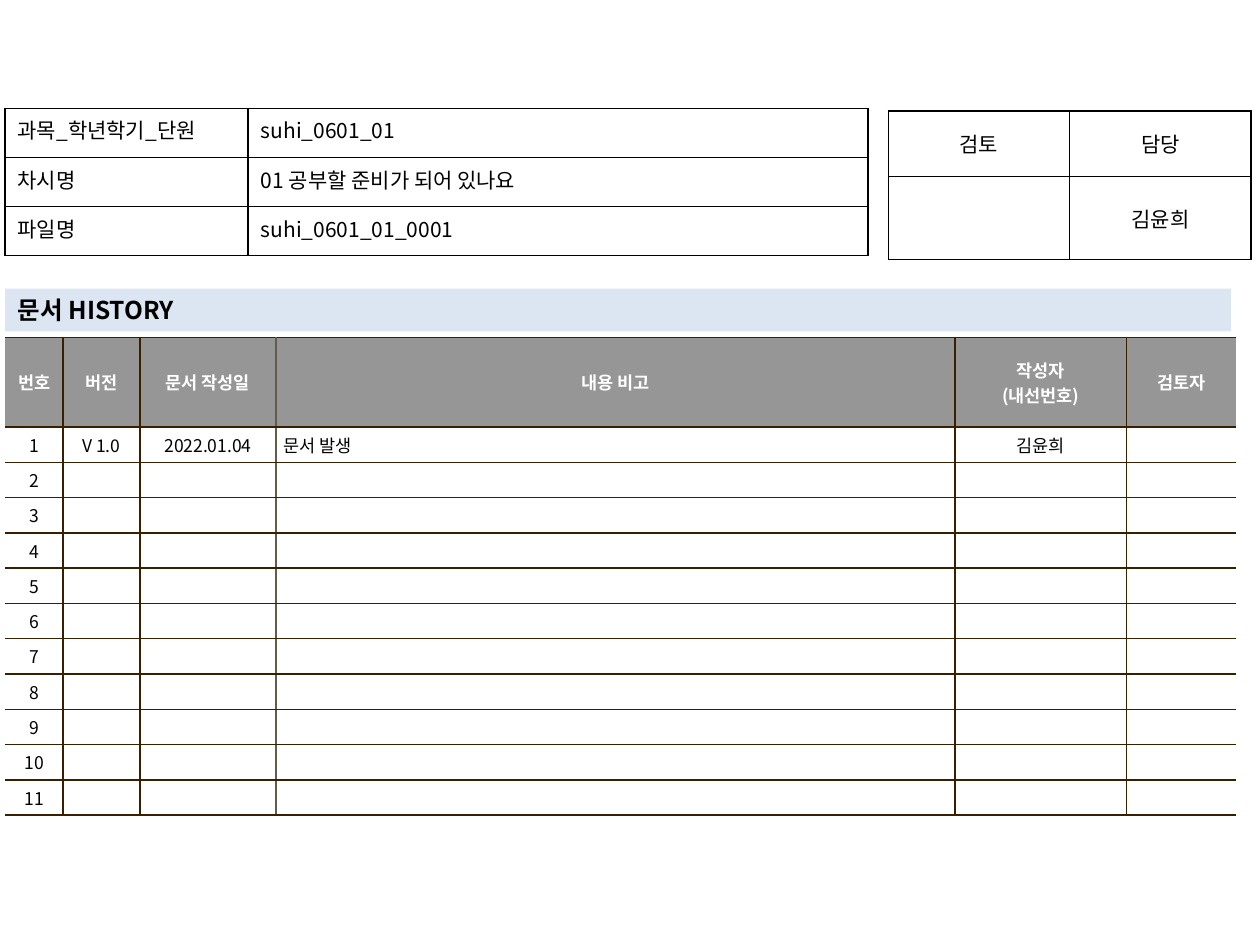
from lxml import etree
from pptx import Presentation
from pptx.dml.color import RGBColor
from pptx.enum.text import MSO_ANCHOR, MSO_AUTO_SIZE, PP_ALIGN
from pptx.oxml.ns import qn
from pptx.util import Inches, Pt

FONT = "Noto Sans CJK KR"
BLACK, WHITE, GRAY, BLUE = "000000", "FFFFFF", "969696", "DCE6F2"
BROWN, TAUPE = "362000", "645B4C"
LEFT, MID, FULL = PP_ALIGN.LEFT, PP_ALIGN.CENTER, PP_ALIGN.JUSTIFY
TOP, CENTER = MSO_ANCHOR.TOP, MSO_ANCHOR.MIDDLE
NO_FIT = MSO_AUTO_SIZE.NONE
TITLE_ONLY = 5


def paint(fill, color):
    fill.solid()
    fill.fore_color.rgb = RGBColor.from_string(color)


def write(frame, text, size, color=BLACK, bold=False, align=LEFT):
    """Fill a text frame, one paragraph per line of text."""
    for i, line in enumerate(text.split("\n")):
        para = frame.paragraphs[0] if i == 0 else frame.add_paragraph()
        para.alignment = align
        if not line:
            # An empty cell keeps the row height of its text size
            end = etree.SubElement(para._p, qn("a:endParaRPr"))
            end.set("sz", str(size * 100))
            continue
        run = para.add_run()
        run.text = line
        font = run.font
        font.name, font.size, font.bold = FONT, Pt(size), bold
        font.color.rgb = RGBColor.from_string(color)
        east = etree.SubElement(run._r.get_or_add_rPr(), qn("a:ea"))
        east.set("typeface", FONT)


def border(cell, colors):
    """Draw left, right, top and bottom edges; None leaves an edge open."""
    props = cell._tc.get_or_add_tcPr()
    for side, color in zip("LRTB", colors):
        line = etree.SubElement(props, qn(f"a:ln{side}"), w=str(Pt(1)))
        if color is None:
            etree.SubElement(line, qn("a:noFill"))
        else:
            solid = etree.SubElement(line, qn("a:solidFill"))
            etree.SubElement(solid, qn("a:srgbClr"), val=color)


def add_grid(slide, left, top, cols, rows):
    frame = slide.shapes.add_table(
        len(rows), len(cols), Inches(left), Inches(top),
        Inches(sum(cols)), Inches(sum(rows)))
    table = frame.table
    table.first_row = table.horz_banding = False
    for col, width in zip(table.columns, cols):
        col.width = Inches(width)
    for row, height in zip(table.rows, rows):
        row.height = Inches(height)
    return table


def set_cell(cell, text, size, edges, fill=None, anchor=CENTER,
             pad=(0.1, 0.05), **style):
    cell.margin_left = cell.margin_right = Inches(pad[0])
    cell.margin_top = cell.margin_bottom = Inches(pad[1])
    cell.vertical_anchor = anchor
    border(cell, edges)
    if fill:
        paint(cell.fill, fill)
    else:
        cell.fill.background()
    write(cell.text_frame, text, size, **style)


def add_form(slide, left, top, cols, rows, data, aligns, anchor):
    """Add a plain table with a black line round every cell."""
    table = add_grid(slide, left, top, cols, rows)
    for r, texts in enumerate(data):
        for c, text in enumerate(texts):
            set_cell(table.cell(r, c), text, 12, [BLACK] * 4,
                     anchor=anchor, align=aligns[c])


def add_log(slide):
    """Add the history table, open at its left and right sides."""
    heads = ["번호", "버전", "문서 작성일", "내용 비고",
             "작성자\n(내선번호)", "검토자"]
    first = ["1", "V 1.0", "2022.01.04", "문서 발생", "김윤희", ""]
    blank = [[str(n)] + [""] * 5 for n in range(2, 12)]
    data = [heads, first] + blank
    table = add_grid(slide, 0.04, 2.68, [0.46, 0.61, 1.08, 5.39, 1.36, 0.87],
                     [0.71] + [0.28] * 11)
    walls = [None, BROWN, BROWN, TAUPE, BROWN, BROWN, None]
    for r, texts in enumerate(data):
        head = r == 0
        for c, text in enumerate(texts):
            set_cell(table.cell(r, c), text, 10,
                     [walls[c], walls[c + 1], BROWN, BROWN],
                     fill=GRAY if head else WHITE, pad=(0.06, 0.04),
                     color=WHITE if head else BLACK, bold=head,
                     align=LEFT if c == 3 and not head else MID)


def add_title(slide, text):
    title = slide.shapes.title
    title.left, title.top = Inches(0.04), Inches(2.29)
    title.width, title.height = Inches(9.73), Inches(0.34)
    paint(title.fill, BLUE)
    frame = title.text_frame
    frame.auto_size = NO_FIT
    frame.word_wrap = True
    frame.vertical_anchor = CENTER
    write(frame, text, 14, bold=True)


def main():
    deck = Presentation()
    deck.slide_width, deck.slide_height = Inches(10), Inches(7.5)
    slide = deck.slides.add_slide(deck.slide_layouts[TITLE_ONLY])

    # Document history
    add_title(slide, "문서 HISTORY")
    add_log(slide)

    # Sign-off box
    add_form(slide, 7.05, 0.88, [1.44, 1.44], [0.52, 0.66],
             [["검토", "담당"], ["", "김윤희"]], [MID, MID], CENTER)

    # Document details
    details = [["과목_학년학기_단원", "suhi_0601_01"],
               ["차시명", "01 공부할 준비가 되어 있나요"],
               ["파일명", "suhi_0601_01_0001"]]
    add_form(slide, 0.04, 0.86, [1.93, 4.92], [0.39] * 3,
             details, [FULL, LEFT], TOP)

    deck.save("out.pptx")


if __name__ == "__main__":
    main()
